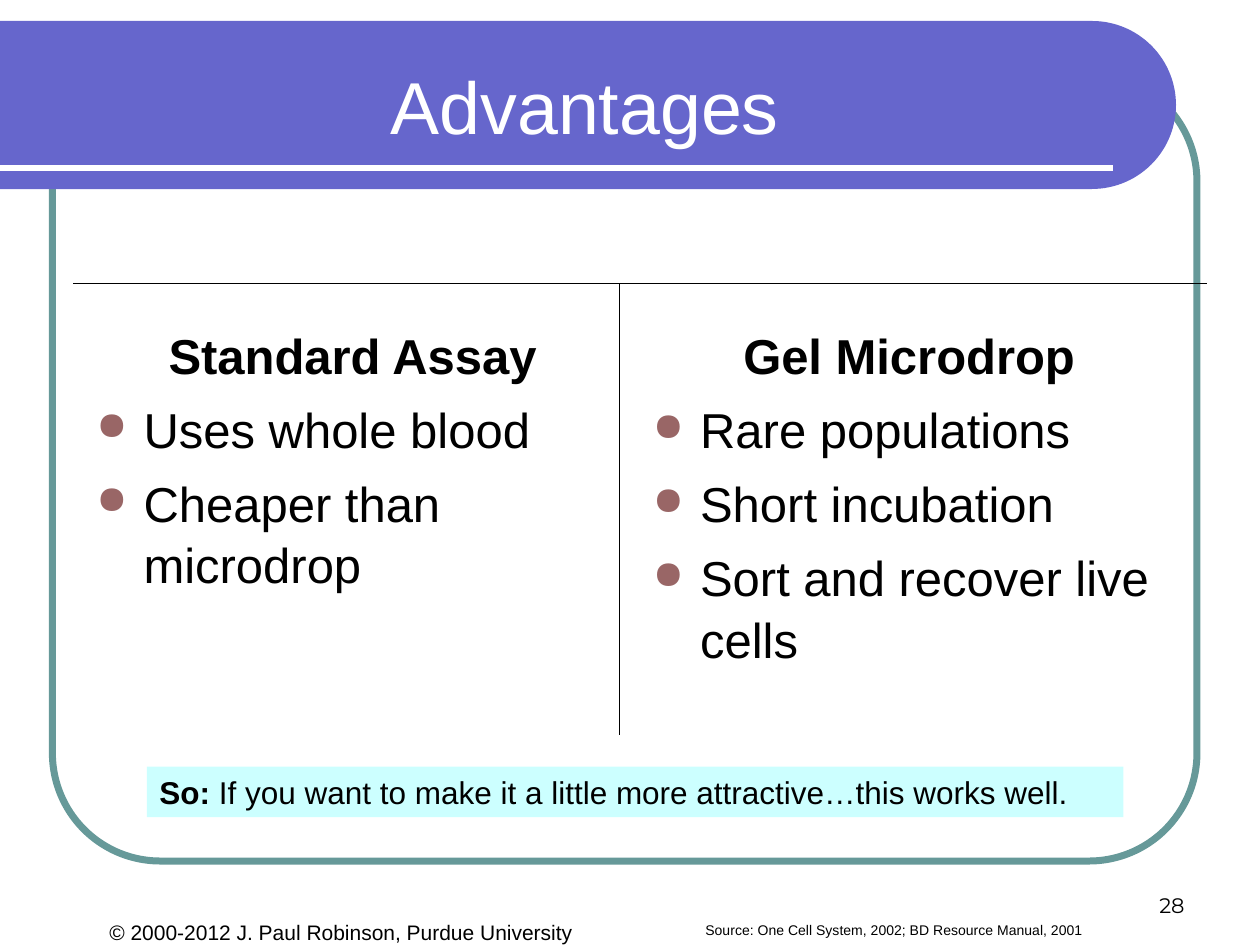
import math

import pptx
import pptx.util
import pptx.dml.color
import pptx.enum.shapes
import pptx.enum.text
import pptx.oxml.xmlchemy

Pt = pptx.util.Pt
RGBColor = pptx.dml.color.RGBColor
Shape = pptx.enum.shapes.MSO_SHAPE
Align = pptx.enum.text.PP_ALIGN
Anchor = pptx.enum.text.MSO_ANCHOR
OxmlElement = pptx.oxml.xmlchemy.OxmlElement

WHITE = RGBColor(0xFF, 0xFF, 0xFF)
BLACK = RGBColor(0x00, 0x00, 0x00)
TEAL = RGBColor(0x66, 0x99, 0x99)
VIOLET = RGBColor(0x66, 0x66, 0xCC)
PALE_CYAN = RGBColor(0xCC, 0xFF, 0xFF)
BULLET_RED = RGBColor(0x99, 0x66, 0x66)


class SlideBuilder:
    font = "Arial"
    indent = 27
    bullet_size = 80

    def __init__(self, slide):
        self.slide = slide

    def paint(self, shape, fill=None, line=None, weight=1):
        shape.shadow.inherit = False
        if fill is None:
            shape.fill.background()
        else:
            shape.fill.solid()
            shape.fill.fore_color.rgb = fill
        if line is None:
            shape.line.fill.background()
        else:
            shape.line.color.rgb = line
            shape.line.width = Pt(weight)

    def shape(self, kind, left, top, width, height, **paint):
        shape = self.slide.shapes.add_shape(kind, Pt(left), Pt(top), Pt(width), Pt(height))
        self.paint(shape, **paint)
        return shape

    def banner(self, top, width, height, fill):
        radius = height / 2
        angles = [math.radians(degrees) for degrees in range(-90, 91, 3)]
        arc = [(Pt(width - radius + radius * math.cos(angle)),
                Pt(top + radius + radius * math.sin(angle))) for angle in angles]
        builder = self.slide.shapes.build_freeform(0, Pt(top))
        builder.add_line_segments(arc + [(0, Pt(top + height))], close=True)
        self.paint(builder.convert_to_shape(), fill=fill)

    def line(self, start, end, color, weight):
        points = [Pt(value) for value in (*start, *end)]
        connector = self.slide.shapes.add_connector(
            pptx.enum.shapes.MSO_CONNECTOR.STRAIGHT, *points)
        connector.line.color.rgb = color
        connector.line.width = Pt(weight)
        connector._element.spPr.append(OxmlElement("a:effectLst"))

    def span(self, para, text, size, color=BLACK, bold=False, font=None):
        span = para.add_run()
        span.text = text
        span.font.name = font or self.font
        span.font.size = Pt(size)
        span.font.bold = bold
        span.font.color.rgb = color

    def title(self, text, left, top, width, height):
        title = self.slide.shapes.title
        self.slide.shapes._spTree.append(title._element)
        title.left, title.top = Pt(left), Pt(top)
        title.width, title.height = Pt(width), Pt(height)
        title.text_frame.vertical_anchor = Anchor.MIDDLE
        para = title.text_frame.paragraphs[0]
        para.alignment = Align.LEFT
        self.span(para, text, 42, WHITE)

    def text(self, text, left, top, width, height, size, align=Align.LEFT,
             anchor=Anchor.TOP, wrap=True, font=None):
        box = self.slide.shapes.add_textbox(Pt(left), Pt(top), Pt(width), Pt(height))
        box.text_frame.word_wrap = wrap
        box.text_frame.vertical_anchor = anchor
        para = box.text_frame.paragraphs[0]
        para.alignment = align
        self.span(para, text, size, font=font)

    def hang(self, para):
        properties = para._p.get_or_add_pPr()
        properties.set("marL", str(Pt(self.indent)))
        properties.set("indent", str(-Pt(self.indent)))
        para.line_spacing = 1.05
        return properties

    def bullet(self, para):
        para.space_before = Pt(7)
        properties = self.hang(para)
        color = OxmlElement("a:buClr")
        value = OxmlElement("a:srgbClr")
        value.set("val", str(BULLET_RED))
        color.append(value)
        size = OxmlElement("a:buSzPct")
        size.set("val", str(self.bullet_size * 1000))
        character = OxmlElement("a:buChar")
        character.set("char", "●")
        properties.extend([color, size, character])

    def column(self, heading, items, left, top, width, height):
        box = self.slide.shapes.add_textbox(Pt(left), Pt(top), Pt(width), Pt(height))
        frame = box.text_frame
        frame.word_wrap = True
        para = frame.paragraphs[0]
        para.alignment = Align.CENTER
        self.hang(para)
        self.span(para, heading, 28, bold=True)
        for item in items:
            para = frame.add_paragraph()
            self.bullet(para)
            self.span(para, item, 28)

    def callout(self, lead, text, left, top, width, height):
        shape = self.shape(Shape.RECTANGLE, left, top, width, height, fill=PALE_CYAN)
        shape.text_frame.word_wrap = True
        shape.text_frame.vertical_anchor = Anchor.TOP
        para = shape.text_frame.paragraphs[0]
        para.alignment = Align.LEFT
        self.span(para, lead, 18, bold=True)
        self.span(para, text, 18)


def main():
    deck = pptx.Presentation()
    deck.slide_width, deck.slide_height = Pt(720), Pt(540)
    page = SlideBuilder(deck.slides.add_slide(deck.slide_layouts[5]))

    frame = page.shape(Shape.ROUNDED_RECTANGLE, 30, 42, 654, 450, line=TEAL, weight=4)
    frame.adjustments[0] = 0.137
    page.banner(12, 672, 96, VIOLET)
    page.line((0, 96), (636, 96), WHITE, 3)
    page.title("Advantages", 216, 30, 318, 60)

    page.column("Standard Assay", ["Uses whole blood", "Cheaper than microdrop"],
                48, 180.5, 307, 295)
    page.column("Gel Microdrop",
                ["Rare populations", "Short incubation", "Sort and recover live cells"],
                366, 181, 307, 284)
    page.line((354, 420), (354, 162), BLACK, 0.75)
    page.line((42, 162), (690, 162), BLACK, 0.75)

    page.callout("So:", " If you want to make it a little more attractive…this works well.",
                 84, 438, 558, 29)
    page.text("28", 516, 492, 168, 36, 12, Align.RIGHT, Anchor.BOTTOM, font="Montserrat")
    page.text("Source: One Cell System, 2002; BD Resource Manual, 2001",
              396, 523, 230, 17, 8, wrap=False)
    page.text("© 2000-2012 J. Paul Robinson, Purdue University",
              18, 507.5, 354, 36, 12, Align.CENTER, Anchor.BOTTOM)
    deck.save("out.pptx")


if __name__ == "__main__":
    main()
